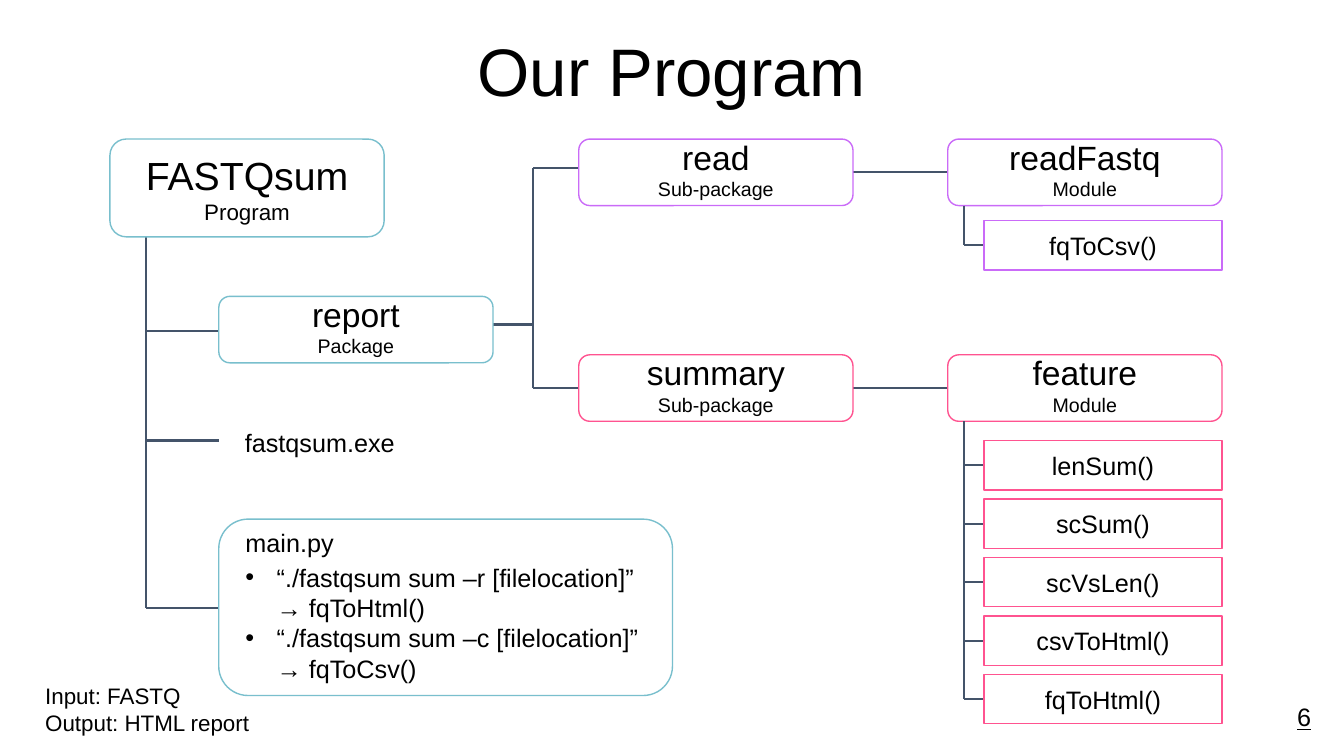
from lxml.etree import SubElement
from pptx import Presentation
from pptx.dml.color import RGBColor
from pptx.enum.shapes import MSO_CONNECTOR, MSO_SHAPE
from pptx.enum.text import MSO_ANCHOR, PP_ALIGN
from pptx.oxml.ns import qn
from pptx.util import Inches, Pt

COLORS = {"text": "000000", "box": "FFFFFF", "link": "44546A",
          "program": "79BFCD", "read": "CA6BF8", "summary": "FF5390"}
FONT = "Arial"

# Grid, in inches
PROGRAM_X, MEMBER_X, SUBPACKAGE_X, MODULE_X, FUNCTION_X = 1.09, 2.17, 5.74, 9.4, 9.76
READ_Y, REPORT_Y, SUMMARY_Y, MAIN_Y = 1.38, 2.94, 3.52, 5.15
BOX_WIDTH, BOX_HEIGHT, PROGRAM_HEIGHT = 2.72, 0.66, 0.97
FUNCTION_WIDTH, FUNCTION_HEIGHT, FUNCTION_PITCH = 2.36, 0.49, 0.58
PROGRAM_STEM, REPORT_STEM, MODULE_STEM = 1.45, 5.29, 9.56


def rgb(name):
    return RGBColor.from_string(COLORS[name])


def write(text_frame, lines, align=PP_ALIGN.LEFT):
    """Fill the frame with one paragraph for each (text, size) pair."""
    text_frame.word_wrap = True
    for index, (text, size) in enumerate(lines):
        paragraph = text_frame.paragraphs[0] if index == 0 else text_frame.add_paragraph()
        paragraph.text = text
        paragraph.alignment = align
        paragraph.font.name = FONT
        paragraph.font.size = Pt(size)
        paragraph.font.color.rgb = rgb("text")


def add_text(slide, x, y, width, height, lines, align=PP_ALIGN.LEFT):
    shape = slide.shapes.add_textbox(Inches(x), Inches(y), Inches(width), Inches(height))
    write(shape.text_frame, lines, align)
    return shape


def add_box(slide, x, y, width, height, color, lines,
            kind=MSO_SHAPE.ROUNDED_RECTANGLE, align=PP_ALIGN.CENTER):
    shape = slide.shapes.add_shape(kind, Inches(x), Inches(y), Inches(width), Inches(height))
    shape.shadow.inherit = False
    shape.fill.solid()
    shape.fill.fore_color.rgb = rgb("box")
    shape.line.color.rgb = rgb(color)
    shape.line.width = Pt(1)
    text_frame = shape.text_frame
    text_frame.margin_top = text_frame.margin_bottom = 0
    text_frame.vertical_anchor = MSO_ANCHOR.MIDDLE
    write(text_frame, lines, align)
    return shape


def add_package(slide, x, y, color, name, kind):
    shape = add_box(slide, x, y, BOX_WIDTH, BOX_HEIGHT, color, [(name, 24), (kind, 14)])
    shape.text_frame.vertical_anchor = MSO_ANCHOR.BOTTOM
    shape.text_frame.margin_bottom = Inches(0.02)


def add_link(slide, x1, y1, x2, y2):
    connector = slide.shapes.add_connector(
        MSO_CONNECTOR.STRAIGHT, Inches(x1), Inches(y1), Inches(x2), Inches(y2))
    connector.line.color.rgb = rgb("link")
    connector.line.width = Pt(1.5)
    SubElement(connector._element.spPr, qn("a:effectLst"))


def add_tree(slide, x, top, branches, end):
    """Draw a stem at x from top to the last branch, each branch reaching end."""
    add_link(slide, x, top, x, branches[-1])
    for y in branches:
        add_link(slide, x, y, end, y)


def add_functions(slide, module_y, first_y, color, names):
    """Hang a column of function boxes below a module."""
    tops = [first_y + index * FUNCTION_PITCH for index in range(len(names))]
    add_tree(slide, MODULE_STEM, module_y + BOX_HEIGHT,
             [top + FUNCTION_HEIGHT / 2 for top in tops], FUNCTION_X)
    for top, name in zip(tops, names):
        add_box(slide, FUNCTION_X, top, FUNCTION_WIDTH, FUNCTION_HEIGHT, color,
                [(name, 18)], MSO_SHAPE.RECTANGLE)


def add_bullet(paragraph):
    properties = paragraph._p.get_or_add_pPr()
    properties.set("marL", str(Inches(0.31)))
    properties.set("indent", str(-Inches(0.31)))
    SubElement(properties, qn("a:buFont")).set("typeface", FONT)
    SubElement(properties, qn("a:buChar")).set("char", "•")


def add_main_script(slide):
    shape = add_box(slide, MEMBER_X, MAIN_Y, 4.5, 1.75, "program", [("main.py", 18)],
                    align=PP_ALIGN.LEFT)
    text_frame = shape.text_frame
    text_frame.vertical_anchor = MSO_ANCHOR.TOP
    text_frame.margin_left = Inches(0.18)
    text_frame.margin_right = Inches(0.13)
    commands = ["“./fastqsum sum –r [filelocation]” → fqToHtml()",
                "“./fastqsum sum –c [filelocation]” → fqToCsv()"]
    for index, command in enumerate(commands):
        paragraph = text_frame.add_paragraph()
        paragraph.text = command
        paragraph.alignment = PP_ALIGN.LEFT
        if index == 0:
            paragraph.space_before = Pt(3)
        add_bullet(paragraph)
        paragraph.font.name = FONT
        paragraph.font.size = Pt(18)
        paragraph.font.color.rgb = rgb("text")


def set_title(slide, text):
    title = slide.shapes.title
    title.left, title.top = Inches(2.6), Inches(0.33)
    title.width, title.height = Inches(8.13), Inches(0.83)
    title.text_frame.vertical_anchor = MSO_ANCHOR.MIDDLE
    write(title.text_frame, [(text, 48)], PP_ALIGN.CENTER)
    title.text_frame.paragraphs[0].line_spacing = 0.9


def main():
    presentation = Presentation()
    presentation.slide_width, presentation.slide_height = Inches(13.33), Inches(7.5)
    slide = presentation.slides.add_slide(presentation.slide_layouts[5])
    set_title(slide, "Our Program")

    add_tree(slide, PROGRAM_STEM, READ_Y + PROGRAM_HEIGHT, [3.28, 4.37, 6.03], MEMBER_X)
    add_tree(slide, REPORT_STEM, 1.67, [1.67, 3.85], SUBPACKAGE_X)
    add_link(slide, MEMBER_X + BOX_WIDTH, 3.22, REPORT_STEM, 3.22)

    add_box(slide, PROGRAM_X, READ_Y, BOX_WIDTH, PROGRAM_HEIGHT, "program",
            [("FASTQsum", 28), ("Program", 16)])
    add_package(slide, MEMBER_X, REPORT_Y, "program", "report", "Package")
    add_text(slide, 2.33, 4.19, BOX_WIDTH, 0.4, [("fastqsum.exe", 18)])
    add_main_script(slide)

    branches = [
        (READ_Y, 2.19, "read", "readFastq", ["fqToCsv()"]),
        (SUMMARY_Y, 4.37, "summary", "feature",
         ["lenSum()", "scSum()", "scVsLen()", "csvToHtml()", "fqToHtml()"]),
    ]
    for y, first_function_y, subpackage, module, functions in branches:
        middle = y + BOX_HEIGHT / 2
        add_link(slide, SUBPACKAGE_X + BOX_WIDTH, middle, MODULE_X, middle)
        add_package(slide, SUBPACKAGE_X, y, subpackage, subpackage, "Sub-package")
        add_package(slide, MODULE_X, y, subpackage, module, "Module")
        add_functions(slide, y, first_function_y, subpackage, functions)

    add_text(slide, 0.35, 6.72, BOX_WIDTH, 0.64,
             [("Input: FASTQ", 16), ("Output: HTML report", 16)])
    number = add_text(slide, 12.63, 6.91, 0.61, 0.4, [("6", 18)], PP_ALIGN.CENTER)
    number.text_frame.paragraphs[0].font.underline = True
    presentation.save("out.pptx")


if __name__ == "__main__":
    main()
